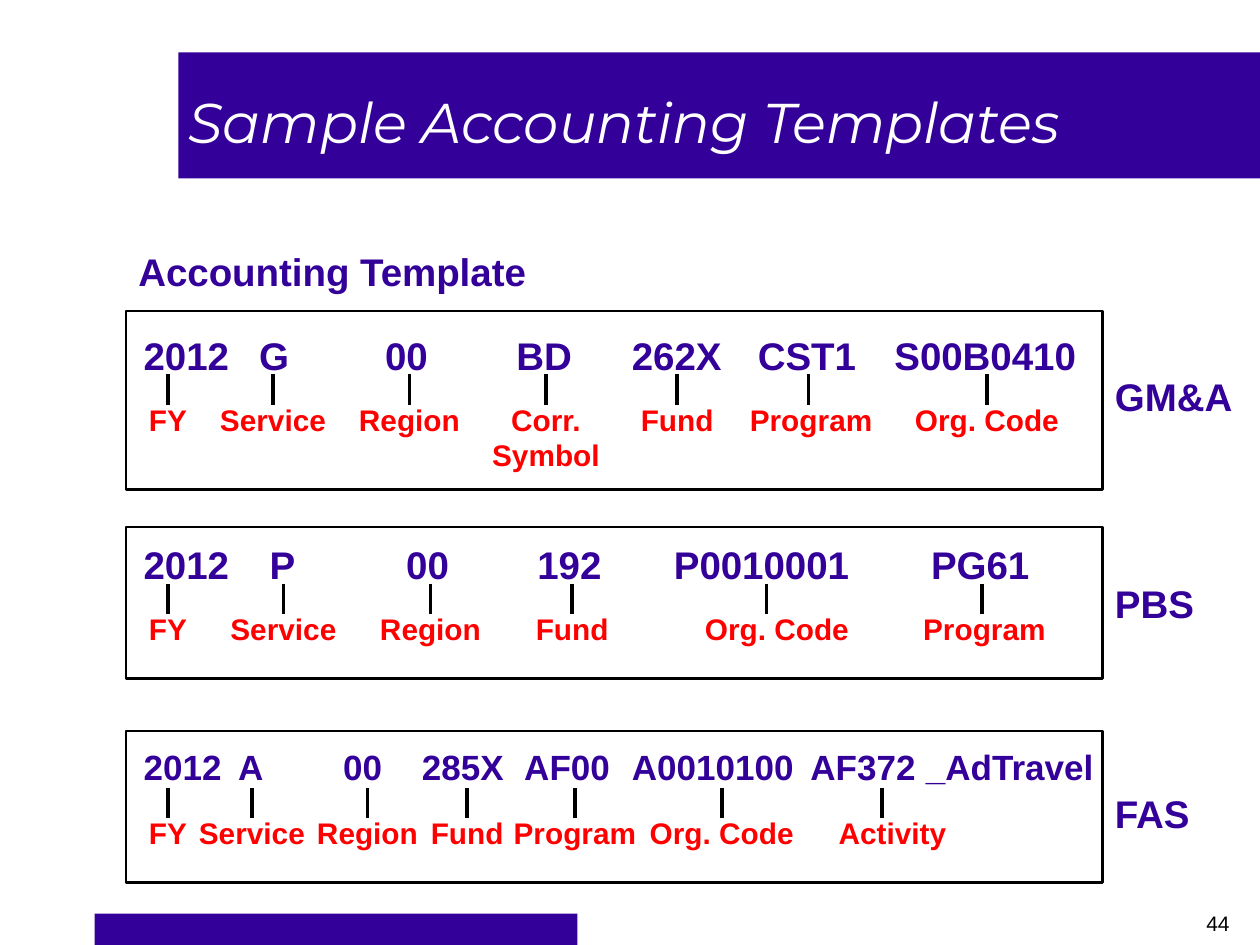
from dataclasses import dataclass

from lxml import etree
from pptx import Presentation
from pptx.dml.color import RGBColor
from pptx.enum import shapes, text
from pptx.oxml.ns import qn
from pptx.util import Pt


@dataclass(frozen=True)
class Theme:
    purple: RGBColor = RGBColor(0x33, 0x00, 0x99)
    red: RGBColor = RGBColor(0xFF, 0x00, 0x00)
    black: RGBColor = RGBColor(0x00, 0x00, 0x00)
    white: RGBColor = RGBColor(0xFF, 0xFF, 0xFF)
    heading_font: str = "Montserrat"
    body_font: str = "Arial"
    title_size: float = 32
    heading_size: float = 22
    compact_size: float = 20
    label_size: float = 17
    number_size: float = 12
    frame_line: float = 1.5
    tick_line: float = 2.25


THEME = Theme()
TITLE = "Sample Accounting Templates"
HEADING = "Accounting Template"
PAGE_NUMBER = "44"

# Each field: code, code left, label, tick x, label's shift from the tick.
# A field without a label continues the one before it.
TEMPLATES = [
    dict(name="GM&A", name_top=209.8, frame_top=177.8, frame_height=102,
         code_top=186, code_size=THEME.heading_size, fields=[
             ("2012", 75, "FY", 96, 0),
             ("G", 141, "Service", 156, 0),
             ("00", 213, "Region", 234, 0),
             ("BD", 288, "Corr. Symbol", 312, 0),
             ("262X", 354, "Fund", 387, 0),
             ("CST1", 426, "Program", 462, 1.5),
             ("S00B0410", 504, "Org. Code", 564, 0)]),
    dict(name="PBS", name_top=327.8, frame_top=301.2, frame_height=86.5,
         code_top=305.8, code_size=THEME.heading_size, fields=[
             ("2012", 75, "FY", 96, 0),
             ("P", 147, "Service", 162, 0),
             ("00", 225, "Region", 246, 0),
             ("192", 300, "Fund", 327, 0),
             ("P0010001", 378, "Org. Code", 438, 6),
             ("PG61", 525, "Program", 561, 1.5)]),
    dict(name="FAS", name_top=448, frame_top=417.7, frame_height=86.5,
         code_top=422.2, code_size=THEME.compact_size, fields=[
             ("2012", 75, "FY", 96, 0),
             ("A", 129, "Service", 144, 0),
             ("00", 189, "Region", 210, 0),
             ("285X", 234, "Fund", 267, 0),
             ("AF00", 292.5, "Program", 328.5, 0),
             ("A0010100", 354, "Org. Code", 412.5, 0),
             ("AF372", 456, "Activity", 504, 6),
             ("_AdTravel", 522, None, None, 0)]),
]

CODE_WIDTHS = {1: 30, 2: 48, 3: 54, 4: 72, 5: 84, 8: 120, 9: 120}
LABEL_WIDTHS = {"FY": 48, "Service": 84, "Region": 84, "Corr. Symbol": 84,
                "Fund": 66, "Program": 99, "Org. Code": 108, "Activity": 108}
FRAME_LEFT, FRAME_WIDTH = 72, 558
TICK_DROP, TICK_HEIGHT = 27.8, 17.5
LABEL_DROP = 39.8


def style(frame, size, color, font=THEME.body_font, bold=False, italic=False,
          align=text.PP_ALIGN.LEFT):
    for paragraph in frame.paragraphs:
        paragraph.alignment = align
        for run in paragraph.runs:
            run.font.name = font
            run.font.size = Pt(size)
            run.font.color.rgb = color
            run.font.bold = bold
            run.font.italic = italic


def add_text(slide, words, left, top, width, size, color, **options):
    box = slide.shapes.add_textbox(Pt(left), Pt(top), Pt(width),
                                   Pt(round(size * 1.2 + 7.2)))
    frame = box.text_frame
    frame.word_wrap = True
    frame.auto_size = text.MSO_AUTO_SIZE.SHAPE_TO_FIT_TEXT
    frame.text = words
    style(frame, size, color, **options)


def add_rectangle(slide, left, top, width, height, fill=None):
    """A filled band, or an outlined frame when there is no fill."""
    rectangle = slide.shapes.add_shape(shapes.MSO_SHAPE.RECTANGLE, Pt(left),
                                       Pt(top), Pt(width), Pt(height))
    rectangle.shadow.inherit = False
    if fill is None:
        rectangle.fill.background()
        rectangle.line.color.rgb = THEME.black
        rectangle.line.width = Pt(THEME.frame_line)
    else:
        rectangle.fill.solid()
        rectangle.fill.fore_color.rgb = fill
        rectangle.line.fill.background()
    return rectangle


def add_tick(slide, x, top):
    tick = slide.shapes.add_connector(shapes.MSO_CONNECTOR.STRAIGHT, Pt(x),
                                      Pt(top), Pt(x), Pt(top + TICK_HEIGHT))
    tick.line.color.rgb = THEME.black
    tick.line.width = Pt(THEME.tick_line)
    etree.SubElement(tick._element.spPr, qn("a:effectLst"))


def add_title(slide):
    banner = add_rectangle(slide, 102, 30, 618, 72, THEME.purple)
    title = slide.shapes.title
    banner._element.addnext(title._element)
    title.left, title.top, title.width, title.height = map(
        Pt, (100.5, 24, 583, 90))
    frame = title.text_frame
    frame.text = TITLE
    frame.word_wrap = True
    frame.auto_size = text.MSO_AUTO_SIZE.NONE
    frame.vertical_anchor = text.MSO_ANCHOR.MIDDLE
    style(frame, THEME.title_size, THEME.white, font=THEME.heading_font,
          italic=True)


def add_template(slide, template):
    add_rectangle(slide, FRAME_LEFT, template["frame_top"], FRAME_WIDTH,
                  template["frame_height"])
    add_text(slide, template["name"], FRAME_LEFT + FRAME_WIDTH,
             template["name_top"], 90, THEME.heading_size, THEME.purple,
             bold=True)
    code_top = template["code_top"]
    for code, left, label, tick_x, shift in template["fields"]:
        add_text(slide, code, left, code_top, CODE_WIDTHS[len(code)],
                 template["code_size"], THEME.purple, bold=True)
        if label:
            width = LABEL_WIDTHS[label]
            add_tick(slide, tick_x, code_top + TICK_DROP)
            add_text(slide, label, tick_x + shift - width / 2,
                     code_top + LABEL_DROP, width, THEME.label_size,
                     THEME.red, bold=True, align=text.PP_ALIGN.CENTER)


def main():
    deck = Presentation()
    deck.slide_width, deck.slide_height = Pt(720), Pt(540)
    slide = deck.slides.add_slide(deck.slide_layouts[5])
    add_rectangle(slide, 54, 522, 276, 18, THEME.purple)
    add_title(slide)
    add_text(slide, HEADING, 72, 138, 462, THEME.heading_size, THEME.purple,
             bold=True)
    for template in TEMPLATES:
        add_template(slide, template)
    add_text(slide, PAGE_NUMBER, 672, 516.5, 48, THEME.number_size,
             THEME.black, align=text.PP_ALIGN.CENTER)
    deck.save("out.pptx")


if __name__ == "__main__":
    main()
